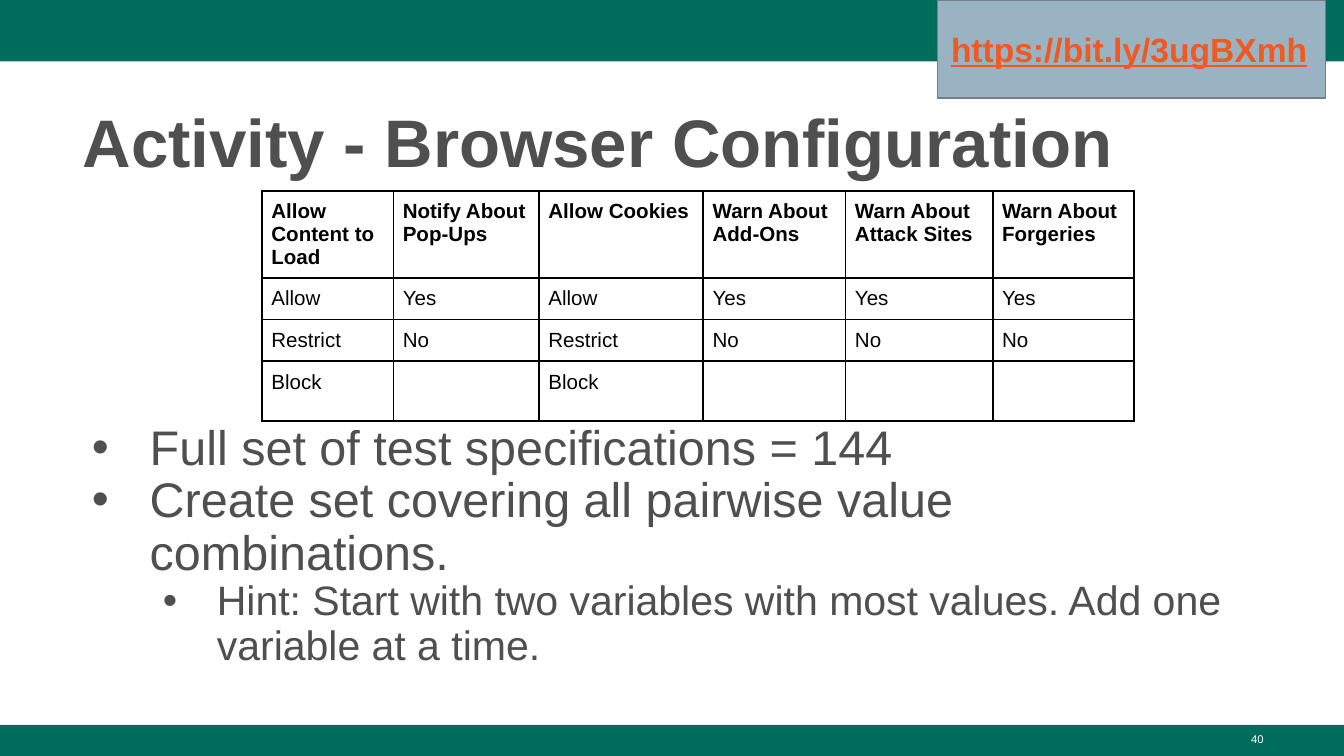
from pptx import Presentation
from pptx.dml.color import RGBColor
from pptx.enum.shapes import MSO_SHAPE as Shape
from pptx.enum.text import MSO_ANCHOR as Anchor, MSO_AUTO_SIZE as AutoSize, PP_ALIGN as Align
from pptx.oxml.ns import qn
from pptx.util import Pt
from lxml.etree import SubElement

COLORS = {
    "green": "006C5C",
    "gray": "4F4F4F",
    "black": "000000",
    "white": "FFFFFF",
    "panel": "99B3C2",
    "panel_line": "6F828C",
    "link": "F15922",
}
WIDTH, HEIGHT = 720, 405

HEADERS = ["Allow Content to Load", "Notify About Pop-Ups", "Allow Cookies",
           "Warn About Add-Ons", "Warn About Attack Sites", "Warn About Forgeries"]
ROWS = [
    HEADERS,
    ["Allow", "Yes", "Allow", "Yes", "Yes", "Yes"],
    ["Restrict", "No", "Restrict", "No", "No", "No"],
    ["Block", "", "Block", "", "", ""],
]
COLUMN_WIDTHS = [70.4, 78, 88, 76.3, 78.8, 75.6]
ROW_HEIGHTS = [46.8, 22.3, 22.3, 30.4]

# Text, level, size, left indent, hanging indent
BULLETS = [
    ("Full set of test specifications = 144", 0, 26, 36, 31),
    ("Create set covering all pairwise value combinations.", 0, 26, 36, 31),
    ("Hint: Start with two variables with most values. Add one variable at a time.",
     1, 22, 72, 29),
]


def rgb(name):
    return RGBColor.from_string(COLORS[name])


class SlideBuilder:
    font_name = "Arial"

    def __init__(self, slide):
        self.slide = slide

    def style(self, paragraph, size, color, bold=False, underline=False):
        for run in paragraph.runs:
            font = run.font
            font.name, font.size = self.font_name, Pt(size)
            font.bold, font.underline = bold, underline
            font.color.rgb = rgb(color)

    def place(self, shape, left, top, width, height):
        shape.left, shape.top = Pt(left), Pt(top)
        shape.width, shape.height = Pt(width), Pt(height)

    def rectangle(self, left, top, width, height, fill, line=None):
        shape = self.slide.shapes.add_shape(
            Shape.RECTANGLE, Pt(left), Pt(top), Pt(width), Pt(height))
        shape.shadow.inherit = False
        shape.fill.solid()
        shape.fill.fore_color.rgb = rgb(fill)
        if line:
            shape.line.color.rgb = rgb(line)
            shape.line.width = Pt(0.75)
        else:
            shape.line.fill.background()
        return shape

    def text(self, shape, text, size, color, align=Align.LEFT, anchor=Anchor.TOP, **emphasis):
        frame = shape.text_frame
        frame.word_wrap = True
        frame.auto_size = AutoSize.NONE
        frame.vertical_anchor = anchor
        frame.text = text
        paragraph = frame.paragraphs[0]
        paragraph.alignment = align
        self.style(paragraph, size, color, **emphasis)
        return paragraph

    def title(self, text, *box):
        shape = self.slide.shapes.title
        self.place(shape, *box)
        paragraph = self.text(shape, text, 36, "gray", anchor=Anchor.BOTTOM, bold=True)
        paragraph.line_spacing = 1.08

    def bullets(self, items, *box):
        shape = self.slide.placeholders[1]
        self.place(shape, *box)
        frame = shape.text_frame
        frame.auto_size = AutoSize.NONE
        frame.vertical_anchor = Anchor.TOP
        frame.text = "\n".join(item[0] for item in items)
        for paragraph, (_, level, size, left, hanging) in zip(frame.paragraphs, items):
            paragraph.level = level
            paragraph.alignment = Align.LEFT
            paragraph.line_spacing = 0.9
            paragraph.space_before = Pt(0)
            properties = paragraph._p.get_or_add_pPr()
            properties.set("marL", str(Pt(left)))
            properties.set("indent", str(-Pt(hanging)))
            color = SubElement(properties, qn("a:buClr"))
            SubElement(color, qn("a:srgbClr"), val=COLORS["gray"])
            SubElement(properties, qn("a:buFont"), typeface=self.font_name)
            SubElement(properties, qn("a:buChar"), char="•")
            self.style(paragraph, size, "gray")

    def borders(self, cell):
        properties = cell._tc.get_or_add_tcPr()
        for side in ("lnL", "lnR", "lnT", "lnB"):
            line = SubElement(properties, qn(f"a:{side}"), w=str(Pt(1)))
            fill = SubElement(line, qn("a:solidFill"))
            SubElement(fill, qn("a:srgbClr"), val=COLORS["black"])

    def table(self, rows, left, top, widths, heights):
        table = self.slide.shapes.add_table(
            len(rows), len(widths), Pt(left), Pt(top),
            Pt(sum(widths)), Pt(sum(heights))).table
        table.first_row = table.horz_banding = False
        for column, width in zip(table.columns, widths):
            column.width = Pt(width)
        for row, height in zip(table.rows, heights):
            row.height = Pt(height)
        for row_index, texts in enumerate(rows):
            for column_index, text in enumerate(texts):
                cell = table.cell(row_index, column_index)
                cell.margin_left = cell.margin_right = Pt(5)
                cell.margin_top = cell.margin_bottom = Pt(5)
                self.borders(cell)
                cell.fill.background()
                if text:
                    cell.text = text
                    self.style(cell.text_frame.paragraphs[0], 11, "black",
                               bold=row_index == 0)


def main():
    presentation = Presentation()
    presentation.slide_width, presentation.slide_height = Pt(WIDTH), Pt(HEIGHT)
    slide = presentation.slides.add_slide(presentation.slide_layouts[1])
    builder = SlideBuilder(slide)

    # Top and bottom bars with the slide number
    builder.rectangle(0, 0, WIDTH, 33, "green")
    builder.rectangle(0, 388.4, WIDTH, HEIGHT - 388.4, "green")
    number = slide.shapes.add_textbox(Pt(516), Pt(388.8), Pt(168), Pt(16.2))
    builder.text(number, "40", 6, "white", Align.RIGHT)

    # Title, table and instructions
    builder.title("Activity - Browser Configuration", 37, 48.2, 647, 52.6)
    builder.bullets(BULLETS, 37, 223.2, 647, 151.2)
    builder.table(ROWS, 140.4, 102.2, COLUMN_WIDTHS, ROW_HEIGHTS)

    # Web address panel
    panel = builder.rectangle(502.4, 0, 207.6, 52.6, "panel", "panel_line")
    builder.text(panel, "https://bit.ly/3ugBXmh", 18, "link", anchor=Anchor.MIDDLE,
                 bold=True, underline=True)

    presentation.save("out.pptx")


if __name__ == "__main__":
    main()
